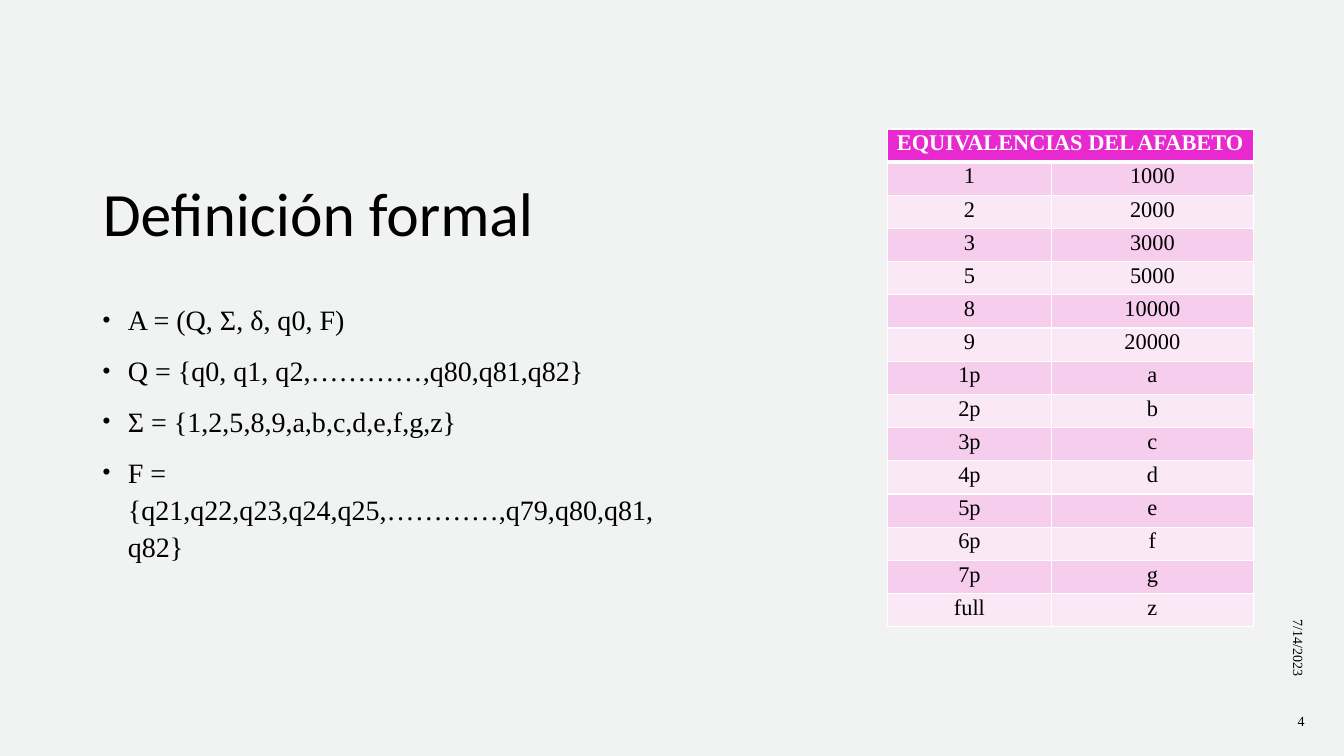
from lxml import etree
from pptx import Presentation
from pptx import util as u
from pptx.dml.color import RGBColor
from pptx.enum import text
from pptx.oxml.ns import qn

COLORS = {
    "background": "F0F3F1",
    "ink": "000000",
    "white": "FFFFFF",
    "header": "E729CF",
    "odd": "F6CDED",
    "even": "FAE8F6",
}
SERIF = "Times New Roman"
DEFINITION = [
    "A = (Q, Σ, δ, q0, F)",
    "Q = {q0, q1, q2,…………,q80,q81,q82}",
    "Σ = {1,2,5,8,9,a,b,c,d,e,f,g,z}",
    "F = {q21,q22,q23,q24,q25,…………,q79,q80,q81,q82}",
]
EQUIVALENCES = [
    ("1", "1000"), ("2", "2000"), ("3", "3000"), ("5", "5000"),
    ("8", "10000"), ("9", "20000"), ("1p", "a"), ("2p", "b"),
    ("3p", "c"), ("4p", "d"), ("5p", "e"), ("6p", "f"),
    ("7p", "g"), ("full", "z"),
]


def color(name):
    return RGBColor.from_string(COLORS[name])


class SlideBuilder:
    def __init__(self, deck):
        self.page = deck.slides.add_slide(deck.slide_layouts[5])
        fill = self.page.background.fill
        fill.solid()
        fill.fore_color.rgb = color("background")

    def add_words(self, para, words, size, font=SERIF, ink="ink", bold=False,
                  align=text.PP_ALIGN.LEFT, line=1.0, before=0, after=0):
        para.alignment = align
        para.line_spacing = line
        para.space_before = u.Pt(before)
        para.space_after = u.Pt(after)
        span = para.add_run()
        span.text = words
        span.font.size = u.Pt(size)
        span.font.name = font
        span.font.bold = bold
        span.font.color.rgb = color(ink)

    def place(self, box, left, top, width, height, anchor):
        box.left, box.top = u.Inches(left), u.Inches(top)
        box.width, box.height = u.Inches(width), u.Inches(height)
        frame = box.text_frame
        frame.word_wrap = True
        frame.auto_size = text.MSO_AUTO_SIZE.NONE
        frame.vertical_anchor = anchor
        return frame

    def title(self, words, *place):
        frame = self.place(self.page.shapes.title, *place, text.MSO_ANCHOR.BOTTOM)
        self.add_words(frame.paragraphs[0], words, 44, font="Calibri", line=0.9)

    def text_box(self, *place, anchor=text.MSO_ANCHOR.TOP, rotation=0):
        box = self.page.shapes.add_textbox(0, 0, 0, 0)
        box.rotation = rotation
        return self.place(box, *place, anchor)

    def bullets(self, lines, *place):
        frame = self.text_box(*place)
        for index, words in enumerate(lines):
            para = frame.add_paragraph() if index else frame.paragraphs[0]
            self.add_words(para, words, 20, line=1.1, before=10)
            properties = para._p.get_or_add_pPr()
            properties.set("marL", str(u.Inches(0.25)))
            properties.set("indent", str(-u.Inches(0.25)))
            etree.SubElement(properties, qn("a:buSzPct")).set("val", "80000")
            etree.SubElement(properties, qn("a:buFont")).set("typeface", "Arial")
            etree.SubElement(properties, qn("a:buChar")).set("char", "•")

    def footer(self, words, *place, align, rotation=0):
        frame = self.text_box(*place, anchor=text.MSO_ANCHOR.MIDDLE, rotation=rotation)
        self.add_words(frame.paragraphs[0], words, 10, align=align, after=6)

    def cell(self, cell, words, fill, margin, ink="ink", bold=False, top=1, bottom=1):
        cell.margin_left = cell.margin_right = u.Inches(margin)
        cell.margin_top = cell.margin_bottom = 0
        properties = cell._tc.get_or_add_tcPr()
        for side, width in (("L", 1), ("R", 1), ("T", top), ("B", bottom)):
            border = etree.SubElement(properties, qn(f"a:ln{side}"))
            border.set("w", str(u.Pt(width)))
            paint = etree.SubElement(border, qn("a:solidFill"))
            etree.SubElement(paint, qn("a:srgbClr")).set("val", COLORS["white"])
        cell.fill.solid()
        cell.fill.fore_color.rgb = color(fill)
        if words:
            self.add_words(cell.text_frame.paragraphs[0], words, 16, ink=ink, bold=bold,
                           align=text.PP_ALIGN.CENTER, line=1.07, after=8)

    def table(self, heading, rows, left, top, widths, height):
        count = len(rows) + 1
        table = self.page.shapes.add_table(
            count, len(widths), u.Inches(left), u.Inches(top),
            u.Inches(sum(widths)), u.Inches(height)).table
        for column, width in zip(table.columns, widths):
            column.width = u.Inches(width)
        for row in table.rows:
            row.height = u.Inches(height / count)
        table.cell(0, 0).merge(table.cell(0, len(widths) - 1))
        for column, words in enumerate((heading, "")):
            self.cell(table.cell(0, column), words, "header", 0.07,
                      ink="white", bold=True, bottom=3)
        for index, values in enumerate(rows, 1):
            fill = "odd" if index % 2 else "even"
            margin = 0.07 if index == len(rows) else 0.11
            for column, words in enumerate(values):
                self.cell(table.cell(index, column), words, fill, margin,
                          top=3 if index == 1 else 1)


def main():
    deck = Presentation()
    deck.slide_width, deck.slide_height = u.Inches(13.33), u.Inches(7.5)
    slide = SlideBuilder(deck)
    slide.title("Definición formal", 0.92, 0.74, 5.64, 1.79)
    slide.bullets(DEFINITION, 0.92, 2.92, 5.75, 3.83)
    slide.footer("7/14/2023", 11.4, 5.13, 2.96, 0.4,
                 align=text.PP_ALIGN.RIGHT, rotation=90)
    slide.footer("4", 12.59, 6.95, 0.63, 0.4, align=text.PP_ALIGN.CENTER)
    slide.table("EQUIVALENCIAS DEL AFABETO", EQUIVALENCES, 8.8, 1.28, (1.63, 2), 4.94)
    deck.save("out.pptx")


if __name__ == "__main__":
    main()
